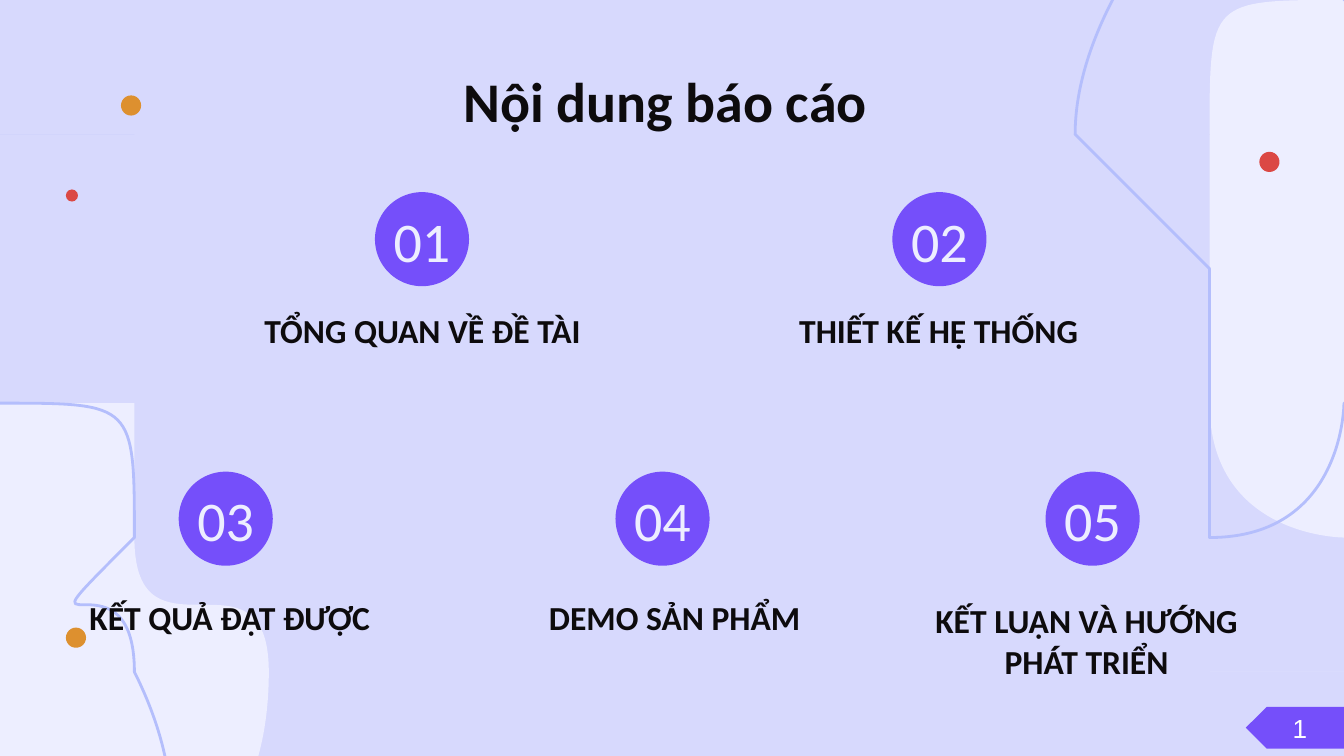
from dataclasses import dataclass

from lxml.etree import SubElement
from pptx import Presentation
from pptx.dml.color import RGBColor
from pptx.enum.shapes import MSO_SHAPE as Preset
from pptx.enum.text import MSO_ANCHOR as Anchor, PP_ALIGN as Align
from pptx.oxml.ns import qn
from pptx.util import Inches, Pt

# The slide is ten columns wide; rows are as tall as columns are wide.
COLUMNS = 10
CELL = Inches(1)


@dataclass(frozen=True)
class Theme:
    background: str = "D7D9FD"
    pale: str = "EDEEFF"
    outline: str = "B4BEFC"
    accent: str = "754FFA"
    orange: str = "DD902F"
    red: str = "DB4844"
    yellow: str = "F1CB5D"
    ink: str = "0D0B0D"
    white: str = "FFFFFF"
    font: str = "Calibri"
    number_font: str = "Arial"
    heading_size: int = 30
    caption_size: int = 18
    page_size: int = 14


@dataclass(frozen=True)
class Box:
    left: float
    top: float
    width: float
    height: float

    def inner(self, left, top, width, height):
        return Box(self.left + left, self.top + top, width, height)

    def lengths(self):
        return [cells(n) for n in (self.left, self.top, self.width, self.height)]


THEME = Theme()

# Each row is one cubic curve: two control points and an end point.
LEFT_BLOB = (1.34, 0), [
    ((1.27, 0), (1.2, 0.02), (1.12, 0.08)),
    ((0.6, 0.44), (1.5, 1.42), (1.17, 1.93)),
    ((0.83, 2.44), (0.34, 2.2), (0.2, 2.55)),
    ((0, 3.05), (0.68, 3.29), (0.58, 4.1)),
    ((0.5, 4.75), (1.2, 5.09), (2.06, 5.09)),
    ((3.32, 5.09), (4.91, 4.35), (4.77, 2.76)),
    ((4.69, 1.87), (3.81, 2.3), (3.94, 1.44)),
    ((4.02, 0.86), (3.92, 0.65), (3.67, 0.65)),
    ((3.49, 0.65), (3.23, 0.76), (2.9, 0.9)),
    ((2.83, 0.93), (2.77, 0.94), (2.7, 0.94)),
    ((2.16, 0.94), (1.8, 0), (1.34, 0)),
]
RIGHT_BLOB = (1.23, 0), [
    ((1.19, 0), (1.15, 0.01), (1.11, 0.01)),
    ((0.46, 0.08), (0.11, 0.68), (0.06, 1.35)),
    ((0, 2.09), (0.73, 2.25), (0.63, 3.01)),
    ((0.51, 3.96), (0.78, 4.24), (1.13, 4.24)),
    ((1.39, 4.24), (1.68, 4.1), (1.9, 3.97)),
    ((2, 3.91), (2.51, 3.77), (2.8, 3.77)),
    ((2.95, 3.77), (3.05, 3.82), (3.26, 3.82)),
    ((3.67, 3.77), (3.97, 3.39), (3.92, 2.97)),
    ((3.91, 2.86), (3.88, 2.76), (3.83, 2.66)),
    ((3.71, 2.45), (3.69, 2.19), (3.78, 1.96)),
    ((3.85, 1.8), (3.87, 1.62), (3.85, 1.45)),
    ((3.79, 0.93), (3.36, 0.54), (2.85, 0.54)),
    ((2.77, 0.54), (2.68, 0.55), (2.6, 0.55)),
    ((2.39, 0.55), (2.19, 0.48), (2.04, 0.33)),
    ((1.83, 0.13), (1.54, 0), (1.23, 0)),
]

# Number, caption, left edge of the circle, then the caption's left, width and height.
TOP_TOPICS = [
    ("01", "TỔNG QUAN VỀ ĐỀ TÀI", 2.79, 1.36, 3.57, 0.43),
    ("02", "THIẾT KẾ HỆ THỐNG", 6.64, 5.2, 3.57, 0.43),
]
BOTTOM_TOPICS = [
    ("03", "KẾT QUẢ ĐẠT ĐƯỢC", 1.33, 0.29, 2.84, 0.43),
    ("04", "DEMO SẢN PHẨM", 4.58, 3.75, 2.54, 0.43),
    ("05", "KẾT LUẬN VÀ HƯỚNG PHÁT TRIỂN", 7.78, 6.61, 2.95, 0.85),
]


def cells(count):
    return round(count * CELL)


def paint(shape, fill=None, line=None):
    shape.shadow.inherit = False
    if fill:
        shape.fill.solid()
        shape.fill.fore_color.rgb = RGBColor.from_string(fill)
    else:
        shape.fill.background()
    if line:
        shape.line.color.rgb = RGBColor.from_string(line)
        shape.line.width = Pt(1.5)
    else:
        shape.line.fill.background()
    return shape


def add_preset(slide, preset, box, fill):
    return paint(slide.shapes.add_shape(preset, *box.lengths()), fill)


def add_outline(slide, box, points, **colours):
    (x, y), *rest = [(box.left + x, box.top + y) for x, y in points]
    builder = slide.shapes.build_freeform(x, y, scale=CELL)
    builder.add_line_segments(rest, close=True)
    return paint(builder.convert_to_shape(), **colours)


def add_blob(slide, box, blob, **colours):
    """Draw straight segments through all points, then join each three into a curve."""
    start, curves = blob
    points = [start] + [point for curve in curves for point in curve]
    shape = add_outline(slide, box, points, **colours)
    outline = next(shape.element.iter(qn("a:path")))
    segments = outline.findall(qn("a:lnTo"))
    for first in range(0, len(segments), 3):
        curve = SubElement(outline, qn("a:cubicBezTo"))
        segments[first].addprevious(curve)
        for segment in segments[first:first + 3]:
            curve.append(segment[0])
            outline.remove(segment)


def write(shape, text, size, colour, bold=False, font=THEME.font):
    frame = shape.text_frame
    frame.word_wrap = True
    frame.vertical_anchor = Anchor.MIDDLE
    frame.margin_left = frame.margin_right = Inches(0.1)
    frame.margin_top = frame.margin_bottom = Inches(0.1)
    paragraph = frame.paragraphs[0]
    paragraph.text = text
    paragraph.alignment = Align.CENTER
    paragraph.font.name = font
    paragraph.font.size = Pt(size)
    paragraph.font.bold = bold
    paragraph.font.color.rgb = RGBColor.from_string(colour)


def add_text(slide, box, *args, **options):
    write(slide.shapes.add_textbox(*box.lengths()), *args, **options)


def add_corner(slide, box, blob, shift):
    """A pale blob with its outline repeated at a shift."""
    add_blob(slide, box, blob, fill=THEME.pale)
    add_blob(slide, box.inner(*shift, box.width, box.height), blob, line=THEME.outline)


def add_left_ornaments(slide, box):
    for x, y, size, colour in [(0.5, 0, 0.15, THEME.orange), (0.09, 0.7, 0.09, THEME.red),
                               (0.09, 3.96, 0.15, THEME.orange)]:
        add_preset(slide, Preset.OVAL, box.inner(x, y, size, size), colour)
    for points in [[(0.1, 0.04), (-0.03, 0.13), (0.11, 0.19)],
                   [(0.13, 4.51), (0.21, 4.63), (0.28, 4.5)]]:
        add_outline(slide, box, points, fill=THEME.outline)


def add_right_ornaments(slide, box):
    bubble = [(0.07, 0), (0.07, 0.24), (0.36, 0.24), (0.41, 0.33), (0.46, 0.24), (0.54, 0.24), (0.54, 0)]
    add_outline(slide, box, bubble, fill=THEME.accent)
    add_preset(slide, Preset.OVAL, box.inner(0.64, 0.62, 0.15, 0.15), THEME.red)
    add_outline(slide, box, [(0.08, 0.62), (0, 0.9), (0.28, 0.82)], fill=THEME.yellow)
    small_bubble = [(0, 0), (0, 0.2), (0.07, 0.2), (0.11, 0.28), (0.16, 0.2), (0.39, 0.2), (0.39, 0)]
    add_outline(slide, box.inner(0.44, 4.52, 0.39, 0.28), small_bubble, fill=THEME.pale)


def add_topics(slide, box, topics, caption_top):
    for number, caption, left, caption_left, width, height in topics:
        add_preset(slide, Preset.OVAL, box.inner(left, 0, 0.7, 0.7), THEME.accent)
        add_text(slide, box.inner(left - 0.32, 0.14, 1.34, 0.43), number, THEME.heading_size, THEME.pale)
        # Two-line captions start slightly higher.
        top = caption_top - (0.04 if height > 0.5 else 0)
        add_text(slide, box.inner(caption_left, top, width, height), caption,
                 THEME.caption_size, THEME.ink, bold=True)


def add_page_tag(slide, box):
    tag = add_preset(slide, Preset.PENTAGON, box, THEME.accent)
    tag.element.spPr.xfrm.set("flipH", "1")
    write(tag, "1", THEME.page_size, THEME.white, font=THEME.number_font)


def main():
    presentation = Presentation()
    presentation.slide_width = cells(COLUMNS)
    presentation.slide_height = cells(COLUMNS * 9 / 16)
    slide = presentation.slides.add_slide(presentation.slide_layouts[6])
    slide.background.fill.solid()
    slide.background.fill.fore_color.rgb = RGBColor.from_string(THEME.background)

    add_corner(slide, Box(-3.11, 2.32, 4.9, 5.09), LEFT_BLOB, (-0.3, 0.22))
    add_corner(slide, Box(8.73, -0.41, 3.97, 4.23), RIGHT_BLOB, (-0.41, -0.2))
    add_left_ornaments(slide, Box(0.4, 0.71, 0.65, 4.63))
    add_right_ornaments(slide, Box(8.73, 0.51, 0.83, 4.8))
    add_text(slide, Box(0.83, 0.43, 8.24, 0.63), "Nội dung báo cáo", THEME.heading_size, THEME.ink, bold=True)
    add_topics(slide, Box(0, 1.43, COLUMNS, 1.24), TOP_TOPICS, 0.81)
    add_topics(slide, Box(0, 3.51, COLUMNS, 1.68), BOTTOM_TOPICS, 0.87)
    add_page_tag(slide, Box(9.27, 5.26, 0.73, 0.31))
    presentation.save("out.pptx")


if __name__ == "__main__":
    main()
